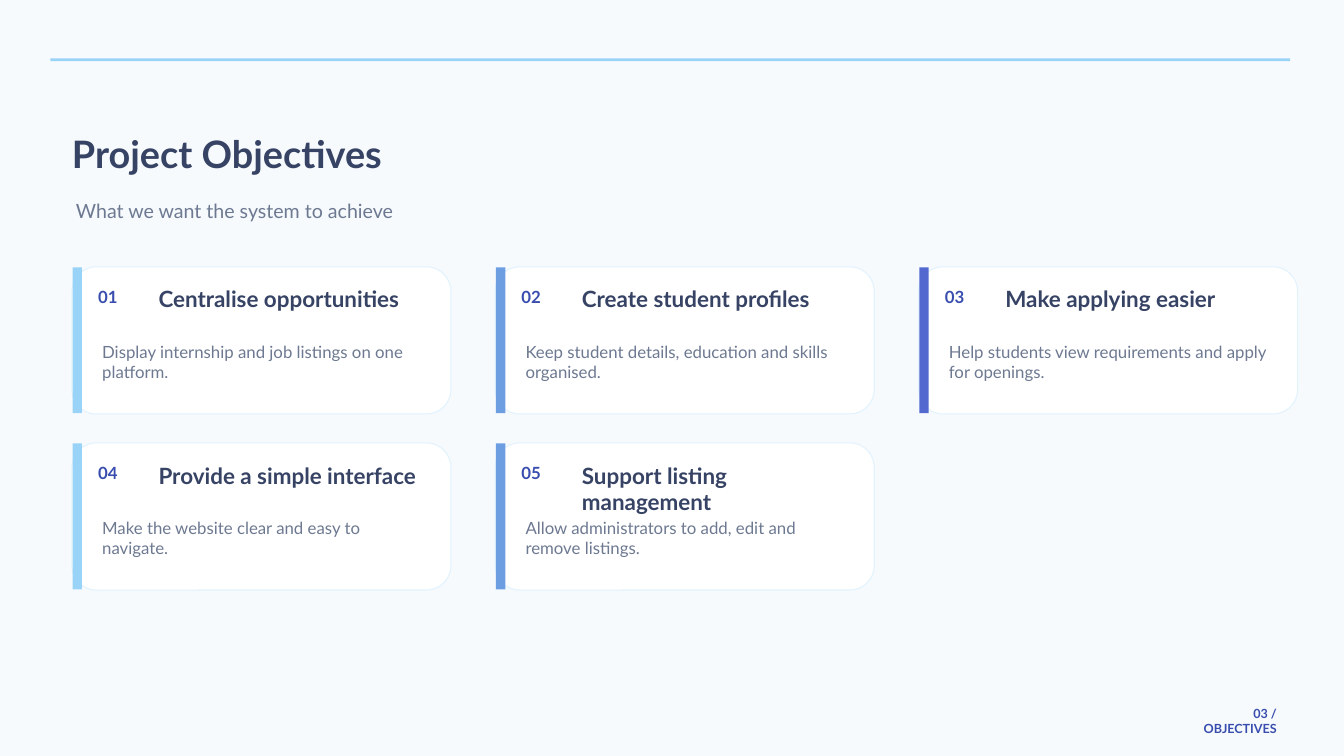
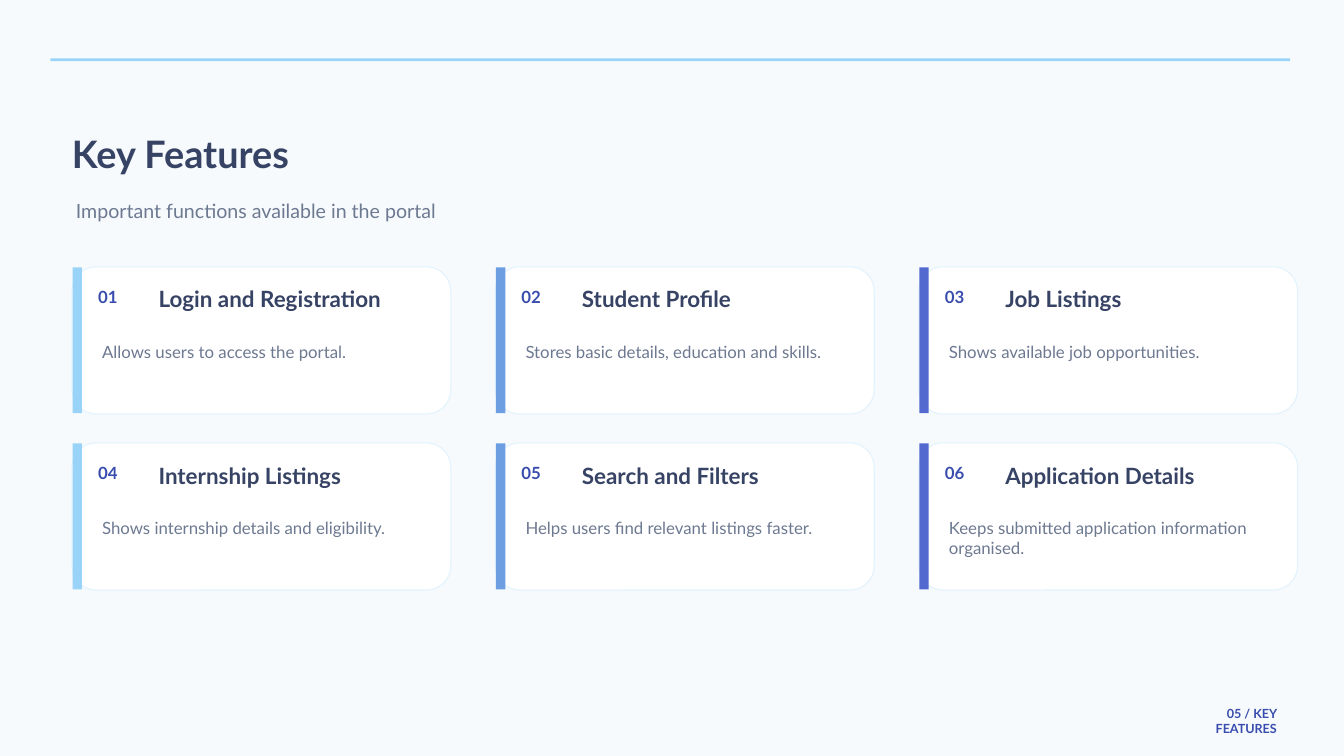
from dataclasses import dataclass

from pptx import Presentation
from pptx.dml.color import RGBColor
from pptx.enum.shapes import MSO_SHAPE as Shape
from pptx.enum.text import MSO_ANCHOR as Anchor, MSO_AUTO_SIZE as AutoSize, PP_ALIGN as Align
from pptx.util import Inches, Pt

SLIDES = [
    {
        "title": "Project Objectives",
        "subtitle": "What we want the system to achieve",
        "footer": "03 / OBJECTIVES",
        "cards": [
            ("Centralise opportunities", "Display internship and job listings on one platform."),
            ("Create student profiles", "Keep student details, education and skills organised."),
            ("Make applying easier", "Help students view requirements and apply for openings."),
            ("Provide a simple interface", "Make the website clear and easy to navigate."),
            ("Support listing management", "Allow administrators to add, edit and remove listings."),
        ],
    },
    {
        "title": "Key Features",
        "subtitle": "Important functions available in the portal",
        "footer": "05 / KEY FEATURES",
        "cards": [
            ("Login and Registration", "Allows users to access the portal."),
            ("Student Profile", "Stores basic details, education and skills."),
            ("Job Listings", "Shows available job opportunities."),
            ("Internship Listings", "Shows internship details and eligibility."),
            ("Search and Filters", "Helps users find relevant listings faster."),
            ("Application Details", "Keeps submitted application information organised."),
        ],
    },
]


@dataclass(frozen=True)
class TextStyle:
    size: float
    color: str
    bold: bool = False
    align: Align = Align.LEFT


@dataclass(frozen=True)
class Theme:
    font: str = "Lato"
    background: str = "F6FAFD"
    rule: str = "99D3F7"
    card: str = "FFFFFF"
    card_border: str = "E2F3FD"
    border_width: float = 1.13
    accents: tuple = ("99D3F7", "6D9EE1", "5369CF")
    line_height: float = 1.2
    title: TextStyle = TextStyle(40.5, "374364", True)
    subtitle: TextStyle = TextStyle(21, "6D7991")
    footer: TextStyle = TextStyle(13.5, "394DAE", True, Align.RIGHT)
    number: TextStyle = TextStyle(18, "394DAE", True)
    heading: TextStyle = TextStyle(24, "374364", True)
    detail: TextStyle = TextStyle(18, "6D7991")


THEME = Theme()
WIDTH, HEIGHT = 20, 11.25
RULE = (0.75, 0.87, 18.45, 0.04)
TITLE = (1.07, 1.94, 17.6, 0.66)
SUBTITLE = (1.13, 2.96, 17.45, 0.48)
FOOTER_RIGHT, FOOTER_TOP, FOOTER_WIDTH, FOOTER_HEIGHT = 19, 10.51, 1.35, 0.23

GRID_LEFT, GRID_TOP = 1.07, 3.97
COLUMNS = len(THEME.accents)
CARD_WIDTH, CARD_HEIGHT = 5.64, 2.19
COLUMN_GAP, ROW_GAP = 0.66, 0.43
CARD_PARTS = {
    "accent": (0.01, 0.01, 0.14, 2.17),
    "number": (0.39, 0.29, 0.72, 0.35),
    "heading": (1.29, 0.28, 4.03, 0.57),
    "detail": (0.45, 1.11, 4.78, 0.91),
}


def rgb(code):
    return RGBColor.from_string(code)


def inches(box):
    return [Inches(length) for length in box]


def add_block(slide, preset, box, fill, border=None):
    block = slide.shapes.add_shape(preset, *inches(box))
    block.shadow.inherit = False
    block.fill.solid()
    block.fill.fore_color.rgb = rgb(fill)
    if border:
        block.line.color.rgb = rgb(border)
        block.line.width = Pt(THEME.border_width)
    else:
        block.line.fill.background()


def write(holder, text, style):
    frame = holder.text_frame
    frame.word_wrap = True
    frame.auto_size = AutoSize.SHAPE_TO_FIT_TEXT
    frame.vertical_anchor = Anchor.TOP
    frame.margin_left = frame.margin_top = frame.margin_right = frame.margin_bottom = 0
    paragraph = frame.paragraphs[0]
    paragraph.alignment = style.align
    paragraph.line_spacing = Pt(style.size * THEME.line_height)
    run = paragraph.add_run()
    run.text = text
    run.font.name = THEME.font
    run.font.size = Pt(style.size)
    run.font.bold = style.bold
    run.font.color.rgb = rgb(style.color)


def add_text(slide, box, text, style):
    write(slide.shapes.add_textbox(*inches(box)), text, style)


def add_frame(slide, content):
    add_block(slide, Shape.RECTANGLE, RULE, THEME.rule)
    footer = (FOOTER_RIGHT - FOOTER_WIDTH, FOOTER_TOP, FOOTER_WIDTH, FOOTER_HEIGHT)
    add_text(slide, footer, content["footer"], THEME.footer)
    title = slide.shapes.title
    title.left, title.top, title.width, title.height = inches(TITLE)
    write(title, content["title"], THEME.title)
    add_text(slide, SUBTITLE, content["subtitle"], THEME.subtitle)


def add_card(slide, index, heading, detail):
    row, column = divmod(index, COLUMNS)
    left = GRID_LEFT + column * (CARD_WIDTH + COLUMN_GAP)
    top = GRID_TOP + row * (CARD_HEIGHT + ROW_GAP)
    parts = {
        part: (left + x, top + y, width, height)
        for part, (x, y, width, height) in CARD_PARTS.items()
    }
    add_block(slide, Shape.ROUNDED_RECTANGLE, (left, top, CARD_WIDTH, CARD_HEIGHT),
              THEME.card, THEME.card_border)
    add_block(slide, Shape.RECTANGLE, parts["accent"], THEME.accents[column])
    add_text(slide, parts["number"], f"{index + 1:02d}", THEME.number)
    add_text(slide, parts["heading"], heading, THEME.heading)
    add_text(slide, parts["detail"], detail, THEME.detail)


def main():
    deck = Presentation()
    deck.slide_width, deck.slide_height = Inches(WIDTH), Inches(HEIGHT)
    backdrop = deck.slide_master.background.fill
    backdrop.solid()
    backdrop.fore_color.rgb = rgb(THEME.background)
    title_only = deck.slide_layouts.get_by_name("Title Only")
    for content in SLIDES:
        slide = deck.slides.add_slide(title_only)
        add_frame(slide, content)
        for index, (heading, detail) in enumerate(content["cards"]):
            add_card(slide, index, heading, detail)
    deck.save("out.pptx")


if __name__ == "__main__":
    main()
